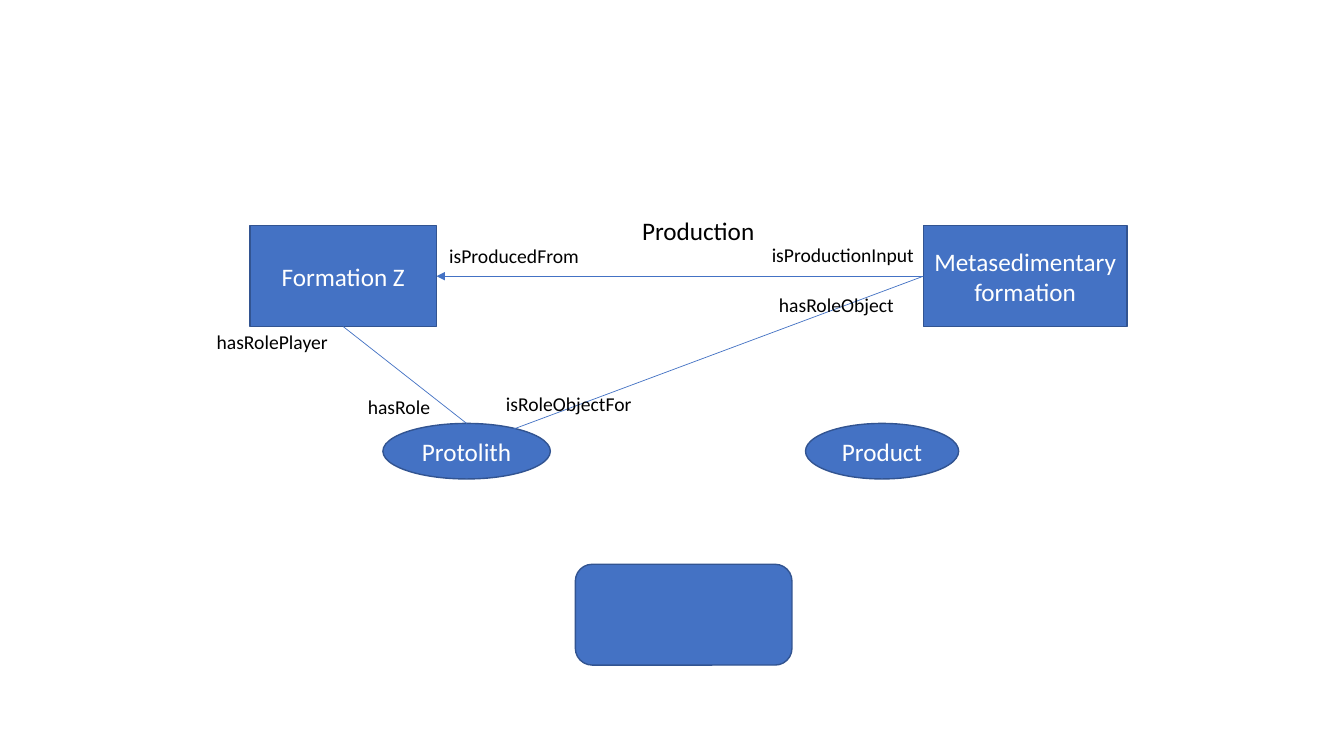
import pptx
import pptx.util
import pptx.dml.color
import pptx.enum.shapes
import pptx.enum.text
import pptx.oxml
import pptx.oxml.ns

Cm = pptx.util.Cm
Pt = pptx.util.Pt
SHAPES = pptx.enum.shapes.MSO_SHAPE
TEXT = pptx.enum.text
BLUE, EDGE, WHITE, BLACK = "4472C4", "325491", "FFFFFF", "000000"
TOP, LEFT, BOTTOM, RIGHT = range(4)


def color(hex_code):
    return pptx.dml.color.RGBColor.from_string(hex_code)


def write(frame, text, size=18, ink=BLACK, align=TEXT.PP_ALIGN.LEFT):
    paragraph = frame.paragraphs[0]
    paragraph.alignment = align
    run = paragraph.add_run()
    run.text = text
    run.font.name = "Calibri"
    run.font.size = Pt(size)
    run.font.color.rgb = color(ink)


def add_node(slide, preset, x, y, width, height, text=""):
    node = slide.shapes.add_shape(preset, Cm(x), Cm(y), Cm(width), Cm(height))
    node.shadow.inherit = False
    node.fill.solid()
    node.fill.fore_color.rgb = color(BLUE)
    node.line.color.rgb = color(EDGE)
    node.line.width = Pt(1)
    if text:
        node.text_frame.word_wrap = True
        node.text_frame.vertical_anchor = TEXT.MSO_ANCHOR.MIDDLE
        write(node.text_frame, text, ink=WHITE, align=TEXT.PP_ALIGN.CENTER)
    return node


def add_label(slide, text, x, y, width, size=14):
    height = 1.02 if size == 18 else 0.86
    label = slide.shapes.add_textbox(Cm(x), Cm(y), Cm(width), Cm(height))
    label.text_frame.word_wrap = False
    label.text_frame.auto_size = TEXT.MSO_AUTO_SIZE.SHAPE_TO_FIT_TEXT
    write(label.text_frame, text, size=size)


def add_relation(slide, start, start_site, end=(0, 0), arrow=False):
    relation = slide.shapes.add_connector(
        pptx.enum.shapes.MSO_CONNECTOR.STRAIGHT, 0, 0, Cm(end[0]), Cm(end[1]))
    relation.begin_connect(start, start_site)
    relation.line.color.rgb = color(BLUE)
    relation.line.width = Pt(0.5)
    if arrow:
        line = relation.line._get_or_add_ln()
        line.append(pptx.oxml.parse_xml(
            '<a:tailEnd %s type="triangle"/>' % pptx.oxml.ns.nsdecls("a")))
    relation._element.spPr.append(pptx.oxml.parse_xml(
        "<a:effectLst %s/>" % pptx.oxml.ns.nsdecls("a")))
    return relation


def draw_production(slide, x, y, width, height):
    entity_height, source_width, product_width = 2.54, 4.7, 5.13
    entity_top = y + height - entity_height
    formation = add_node(slide, SHAPES.RECTANGLE, x, entity_top,
                         source_width, entity_height, "Formation Z")
    metasediment = add_node(slide, SHAPES.RECTANGLE, x + width - product_width,
                            entity_top, product_width, entity_height,
                            "Metasedimentary formation")
    production = add_relation(slide, metasediment, LEFT, arrow=True)
    production.end_connect(formation, RIGHT)
    add_label(slide, "Production", x + 9.63, y, 3.38, size=18)
    add_label(slide, "isProducedFrom", x + 4.77, y + 0.71, 3.81)
    add_label(slide, "isProductionInput", x + 12.9, y + 0.69, 4.14)
    return formation, metasediment


def draw_roles(slide, x, y, width, height, formation, metasediment):
    role_height, product_width = 1.4, 3.86
    role_top = y + height - role_height
    protolith = add_node(slide, SHAPES.OVAL, x + 4.44, role_top,
                         4.22, role_height, "Protolith")
    add_node(slide, SHAPES.OVAL, x + width - product_width, role_top,
             product_width, role_height, "Product")
    player = add_relation(slide, formation, BOTTOM)
    player.end_connect(protolith, TOP)
    add_relation(slide, metasediment, LEFT, end=(x + 6.96, y + 3.84))
    for text, dx, dy, label_width in (
            ("isRoleObjectFor", 7.29, 2.49, 3.71),
            ("hasRoleObject", 14.17, 0, 3.43),
            ("hasRole", 3.81, 2.57, 2.11),
            ("hasRolePlayer", 0, 0.94, 3.35)):
        add_label(slide, text, x + dx, y + dy, label_width)


deck = pptx.Presentation()
deck.slide_width, deck.slide_height = Cm(33.87), Cm(19.05)
diagram = deck.slides.add_slide(deck.slide_layouts[6])
formation, metasediment = draw_production(diagram, 6.3, 5.31, 22.1, 2.92)
draw_roles(diagram, 5.21, 7.26, 18.95, 4.81, formation, metasediment)
add_node(diagram, SHAPES.ROUNDED_RECTANGLE, 14.5, 14.22, 5.46, 2.54)
deck.save("out.pptx")
